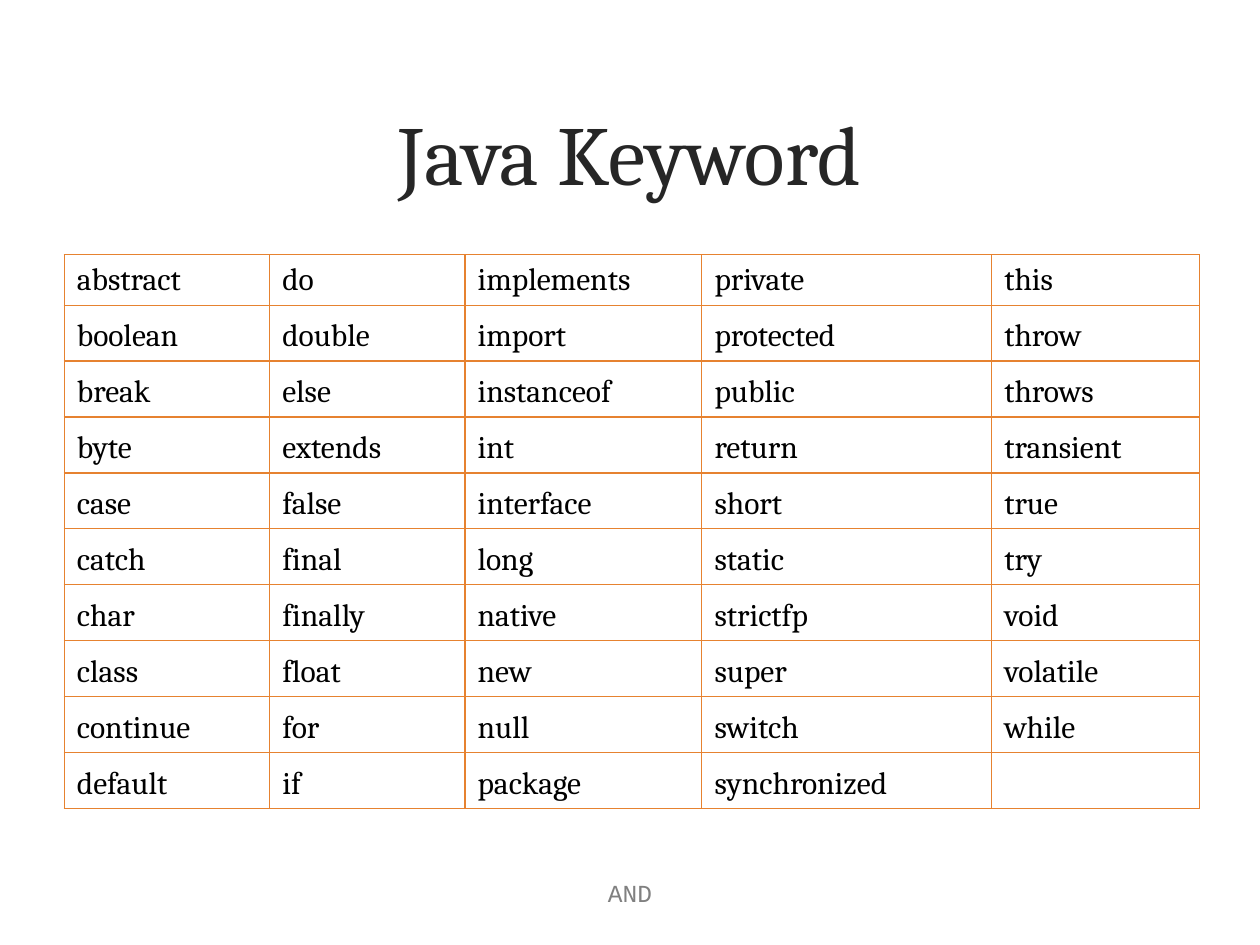
import pptx
import pptx.dml.color
import pptx.enum.text
import pptx.oxml
import pptx.oxml.ns
import pptx.util

Pt = pptx.util.Pt
RGBColor = pptx.dml.color.RGBColor
MIDDLE = pptx.enum.text.MSO_ANCHOR.MIDDLE
BOTTOM = pptx.enum.text.MSO_ANCHOR.BOTTOM

TITLE_COLOR = RGBColor(0x26, 0x26, 0x26)
FOOTER_COLOR = RGBColor(0x80, 0x80, 0x80)
TEXT_COLOR = RGBColor(0x00, 0x00, 0x00)
BORDER_COLOR = RGBColor(0xE6, 0x82, 0x30)

KEYWORD_COLUMNS = [
    "abstract boolean break byte case catch char class continue default",
    "do double else extends false final finally float for if",
    "implements import instanceof int interface long native new null package",
    "private protected public return short static strictfp super switch synchronized",
    "this throw throws transient true try void volatile while",
]
COLUMN_WIDTHS = [117.4, 111.6, 135.4, 165.6, 118.8]
ROW_HEIGHTS = [28] + [32] * 9
HANGING_INDENT = Pt(36.7)


def add_centered_text(slide, text, left, top, width, height, size, font_name, color):
    shape = slide.shapes.add_textbox(Pt(left), Pt(top), Pt(width), Pt(height))
    shape.text_frame.word_wrap = True
    shape.text_frame.vertical_anchor = MIDDLE
    paragraph = shape.text_frame.paragraphs[0]
    paragraph.text = text
    paragraph.alignment = pptx.enum.text.PP_ALIGN.CENTER
    paragraph.font.size = Pt(size)
    paragraph.font.name = font_name
    paragraph.font.color.rgb = color


def add_borders(cell):
    properties = cell._tc.get_or_add_tcPr()
    for side in ("lnL", "lnR", "lnT", "lnB"):
        properties.append(pptx.oxml.parse_xml(
            f'<a:{side} {pptx.oxml.ns.nsdecls("a")} w="{Pt(0.75)}">'
            f'<a:solidFill><a:srgbClr val="{BORDER_COLOR}"/></a:solidFill></a:{side}>'))


presentation = pptx.Presentation()
presentation.slide_width = Pt(720)
presentation.slide_height = Pt(540)
slide = presentation.slides.add_slide(presentation.slide_layouts[6])

add_centered_text(slide, "Java Keyword", 36, 42, 648, 90, 48, "Cambria", TITLE_COLOR)

table = slide.shapes.add_table(
    len(ROW_HEIGHTS), len(COLUMN_WIDTHS),
    Pt(36.75), Pt(145.5), Pt(sum(COLUMN_WIDTHS)), Pt(sum(ROW_HEIGHTS))).table
table.first_row = False
table.horz_banding = False
for row, height in zip(table.rows, ROW_HEIGHTS):
    row.height = Pt(height)

for column_index, (keywords, width) in enumerate(zip(KEYWORD_COLUMNS, COLUMN_WIDTHS)):
    table.columns[column_index].width = Pt(width)
    words = keywords.split()
    for row_index in range(len(ROW_HEIGHTS)):
        cell = table.cell(row_index, column_index)
        cell.vertical_anchor = BOTTOM
        add_borders(cell)
        cell.fill.background()
        paragraph = cell.text_frame.paragraphs[0]
        if row_index < len(words):
            paragraph.text = words[row_index]
        paragraph.font.size = Pt(18)
        paragraph.font.name = "Cambria"
        paragraph.font.color.rgb = TEXT_COLOR
        paragraph_properties = paragraph._p.get_or_add_pPr()
        paragraph_properties.set("marL", str(HANGING_INDENT))
        paragraph_properties.set("indent", str(-HANGING_INDENT))

add_centered_text(slide, "AND", 246, 492, 228, 36, 14, "Courier New", FOOTER_COLOR)

presentation.save("out.pptx")
